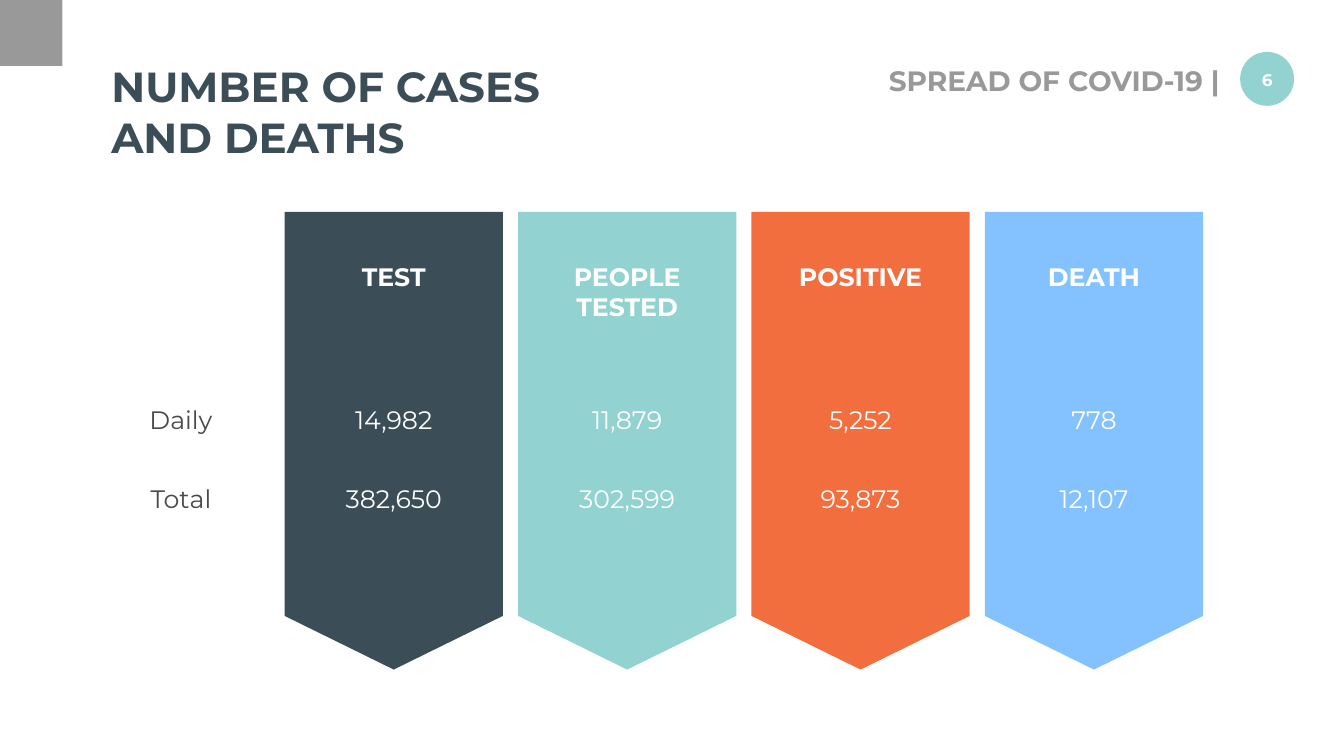
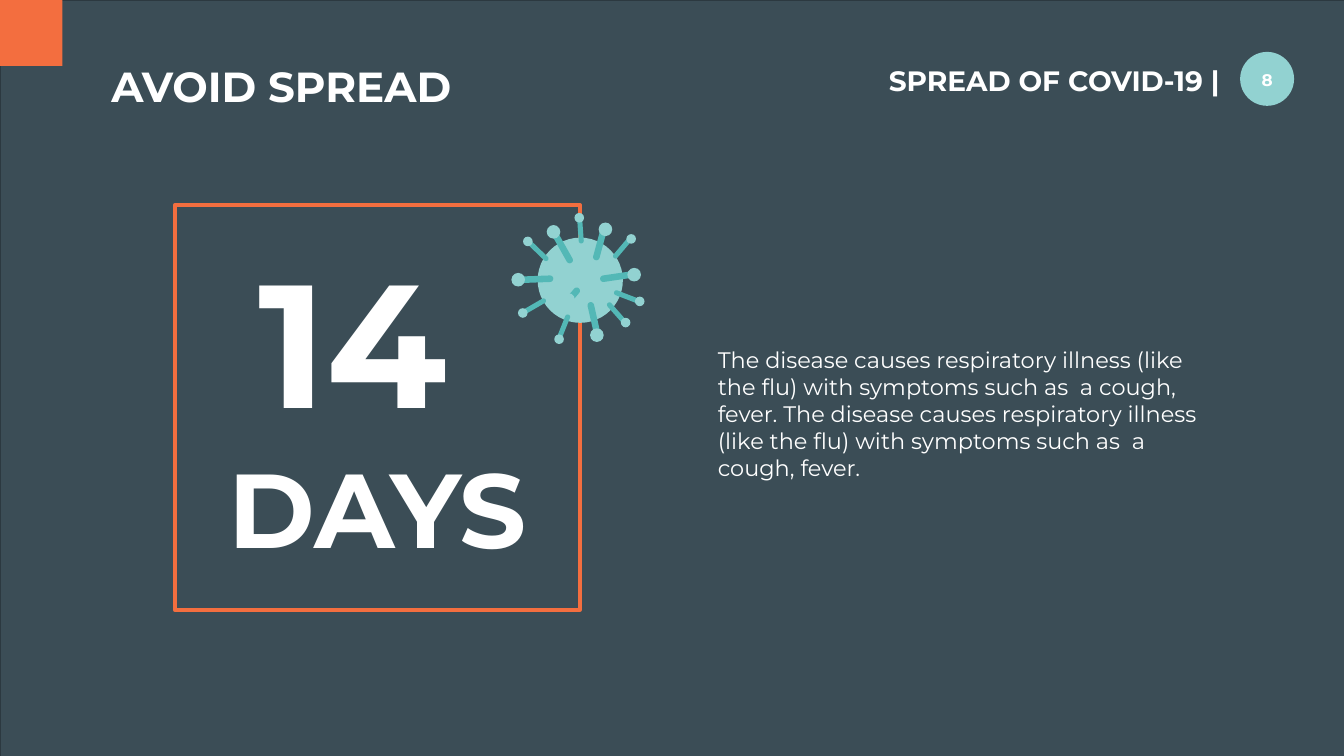
from dataclasses import dataclass
from math import atan2, cos, pi, sin
from typing import NamedTuple

from pptx import Presentation
from pptx.dml.color import RGBColor
from pptx.enum.shapes import MSO_SHAPE as Shape
from pptx.enum.text import MSO_AUTO_SIZE as AutoSize, PP_ALIGN as Align
from pptx.util import Inches, Pt


@dataclass(frozen=True)
class Theme:
    font: str = "Montserrat"
    white: str = "FFFFFF"
    slate: str = "3B4D56"
    edge: str = "2C3940"
    gray: str = "999999"
    ink: str = "494949"
    mint: str = "92D2D1"
    teal: str = "53B8B6"
    orange: str = "F36E3F"
    blue: str = "83C2FF"
    number: int = 24
    body: int = 32
    label: int = 36
    section: int = 40
    title: int = 60
    days: int = 150
    count: int = 250


THEME = Theme()
SLIDE_W, SLIDE_H = 26.66, 15


class Box(NamedTuple):
    left: float
    top: float
    width: float
    height: float


class Label(NamedTuple):
    text: str
    width: float


class Column(NamedTuple):
    color: str
    heading: Label
    daily: Label
    total: Label


class Spike(NamedTuple):
    base: tuple[float, float]
    tip: tuple[float, float]
    knob: tuple[float, float]
    thick: bool = False


COLUMNS = [
    Column(THEME.slate, Label("TEST", 1.53), Label("14,982", 1.74), Label("382,650", 2.14)),
    Column(THEME.mint, Label("PEOPLE\nTESTED", 2.37), Label("11,879", 1.6), Label("302,599", 2.14)),
    Column(THEME.orange, Label("POSITIVE", 2.76), Label("5,252", 1.46), Label("93,873", 1.84)),
    Column(THEME.blue, Label("DEATH", 2.1), Label("778", 1.11), Label("12,107", 1.59)),
]

SPIKES = [
    Spike((11.83, 5.1), (11.97, 4.58), (12.01, 4.55), True),
    Spike((11.3, 5.16), (11.03, 4.68), (10.98, 4.6), True),
    Spike((11.72, 6.06), (11.84, 6.59), (11.84, 6.65), True),
    Spike((12.21, 5.08), (12.49, 4.75), (12.52, 4.74)),
    Spike((11.53, 4.78), (11.5, 4.36), (11.49, 4.32)),
    Spike((12.09, 6.05), (12.37, 6.37), (12.41, 6.4)),
    Spike((12.23, 5.81), (12.62, 5.96), (12.69, 5.98)),
    Spike((10.83, 5.13), (10.53, 4.84), (10.47, 4.79)),
    Spike((10.78, 5.97), (10.4, 6.19), (10.37, 6.21)),
    Spike((11.26, 6.29), (11.1, 6.69), (11.09, 6.73)),
    Spike((10.91, 5.53), (10.37, 5.55), (10.28, 5.55), True),
    Spike((11.97, 5.53), (12.51, 5.45), (12.58, 5.45), True),
    Spike((11.44, 5.77), (11.26, 5.98), (11.27, 5.95), True),
]


# Drawing helpers
def paint(sp, fill: str | None, line: str | None = None, weight: float = 1) -> None:
    sp.shadow.inherit = False
    if fill:
        sp.fill.solid()
        sp.fill.fore_color.rgb = RGBColor.from_string(fill)
    else:
        sp.fill.background()
    if line:
        sp.line.color.rgb = RGBColor.from_string(line)
        sp.line.width = Pt(weight)
    else:
        sp.line.fill.background()


def add_shape(shapes, kind: Shape, box: Box, fill: str | None,
              line: str | None = None, weight: float = 1):
    sp = shapes.add_shape(kind, *map(Inches, box))
    paint(sp, fill, line, weight)
    return sp


def add_disc(shapes, center: tuple[float, float], size: float, fill: str) -> None:
    x, y = center
    add_shape(shapes, Shape.OVAL, Box(x - size / 2, y - size / 2, size, size), fill)


def add_text(s, text: str, box: Box, size: int, color: str, bold: bool = False,
             align: Align = Align.LEFT, wrap: bool = True):
    tf = s.shapes.add_textbox(*map(Inches, box)).text_frame
    tf.word_wrap = wrap
    tf.auto_size = AutoSize.SHAPE_TO_FIT_TEXT
    tf.text = text
    for p in tf.paragraphs:
        p.alignment = align
        p.font.name = THEME.font
        p.font.size = Pt(size)
        p.font.bold = bold
        p.font.color.rgb = RGBColor.from_string(color)
    return tf


def add_label(s, label: Label, center: float, top: float, color: str, bold: bool = False) -> None:
    height = 0.71 + 0.6 * label.text.count("\n")
    box = Box(center - label.width / 2, top, label.width, height)
    add_text(s, label.text, box, THEME.label, color, bold, Align.CENTER, wrap=False)


def add_bar(shapes, start: tuple[float, float], end: tuple[float, float],
            width: float, fill: str) -> None:
    """Draw a bar with rounded ends."""
    heading = atan2(end[1] - start[1], end[0] - start[0])
    steps = 8
    points = []
    for (x, y), first in ((end, heading - pi / 2), (start, heading + pi / 2)):
        for i in range(steps + 1):
            angle = first + pi * i / steps
            points.append((Inches(x + width / 2 * cos(angle)), Inches(y + width / 2 * sin(angle))))
    outline = shapes.build_freeform(*points[0])
    outline.add_line_segments(points[1:])
    paint(outline.convert_to_shape(), fill)


# Parts shared by the slides
def add_frame(s, title: str, title_box: Box, number: int,
              title_color: str, section_color: str, corner: str) -> None:
    add_shape(s.shapes, Shape.RECTANGLE, Box(0, 0, 1.24, 1.31), corner)
    add_text(s, title, title_box, THEME.title, title_color, True)
    add_text(s, "SPREAD OF COVID-19 |", Box(15.55, 1.21, 8.74, 0.77),
             THEME.section, section_color, True, Align.RIGHT)
    add_shape(s.shapes, Shape.OVAL, Box(24.6, 1.03, 1.07, 1.07), THEME.mint)
    tf = add_text(s, str(number), Box(24.62, 1.28, 1.03, 0.61),
                  THEME.number, THEME.white, True, Align.CENTER, wrap=False)
    tf.margin_left = tf.margin_right = Inches(0.2)
    tf.margin_top = tf.margin_bottom = Inches(0.1)


def add_virus(s) -> None:
    shapes = s.shapes.add_group_shape().shapes
    add_disc(shapes, (11.51, 5.56), 1.69, THEME.mint)
    for spike in SPIKES:
        add_bar(shapes, spike.base, spike.tip, 0.13 if spike.thick else 0.1, THEME.teal)
    for spike in SPIKES:
        add_disc(shapes, spike.knob, 0.27 if spike.thick else 0.19, THEME.mint)


# Slides
def build_cases(s) -> None:
    add_frame(s, "NUMBER OF CASES AND DEATHS", Box(2.11, 1.16, 9.23, 2.12), 6,
              THEME.slate, THEME.gray, THEME.gray)
    daily_top, total_top = 7.98, 9.54
    add_label(s, Label("Daily", 1.46), 3.59, daily_top, THEME.ink)
    add_label(s, Label("Total", 1.45), 3.59, total_top, THEME.ink)

    length, breadth, pitch = 9.08, 4.33, 4.63
    for i, column in enumerate(COLUMNS):
        left = 3.27 + i * pitch
        center = left + length / 2
        arrow = add_shape(s.shapes, Shape.PENTAGON, Box(left, 6.58, length, breadth), column.color)
        arrow.rotation = 90
        arrow.adjustments[0] = 0.246
        add_label(s, column.heading, center, 5.14, THEME.white, True)
        add_label(s, column.daily, center, daily_top, THEME.white)
        add_label(s, column.total, center, total_top, THEME.white)


def build_avoid(s) -> None:
    add_shape(s.shapes, Shape.RECTANGLE, Box(0, 0, SLIDE_W, SLIDE_H), THEME.slate, THEME.edge)
    add_frame(s, "AVOID SPREAD", Box(2.11, 1.16, 8.19, 1.11), 8,
              THEME.white, THEME.white, THEME.orange)
    tf = add_text(s, "14 \nDAYS", Box(4.06, 4.58, 6.86, 6.83),
                  THEME.count, THEME.white, True, Align.CENTER)
    tf.paragraphs[1].font.size = Pt(THEME.days)
    sentence = "The disease causes respiratory illness (like the flu) with symptoms such as  a cough, fever."
    add_text(s, f"{sentence} {sentence}", Box(14.14, 6.82, 10.15, 2.79), THEME.body, THEME.white)
    add_shape(s.shapes, Shape.RECTANGLE, Box(3.47, 4.07, 8.03, 8.03), None, THEME.orange, 6)
    add_virus(s)


def main() -> None:
    prs = Presentation()
    prs.slide_width, prs.slide_height = Inches(SLIDE_W), Inches(SLIDE_H)
    blank = prs.slide_layouts[6]
    for build in (build_cases, build_avoid):
        build(prs.slides.add_slide(blank))
    prs.save("out.pptx")


if __name__ == "__main__":
    main()
